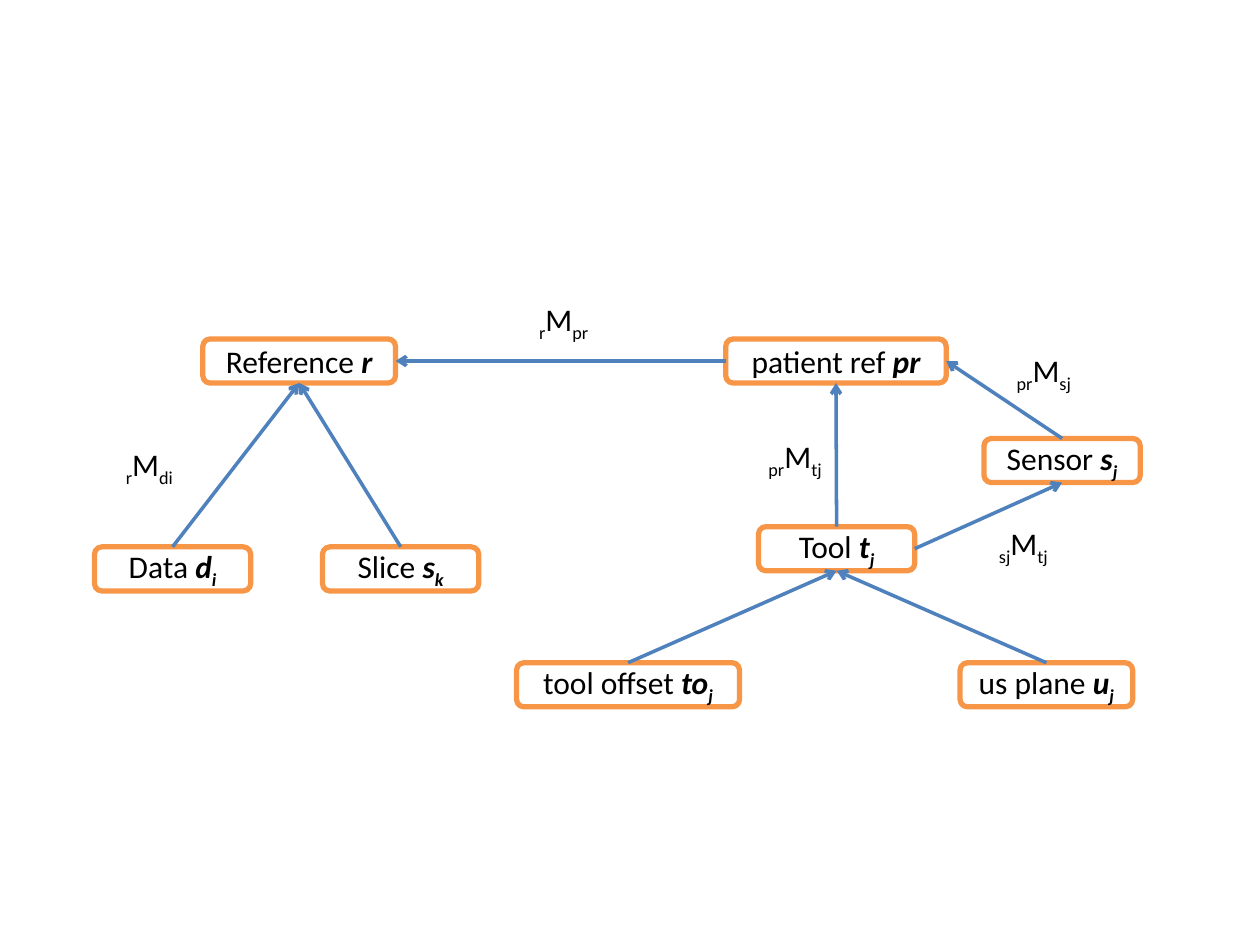
from lxml.etree import SubElement
from pptx import Presentation
from pptx.dml.color import RGBColor
from pptx.enum.shapes import MSO_CONNECTOR, MSO_SHAPE
from pptx.enum.text import MSO_ANCHOR, MSO_AUTO_SIZE, PP_ALIGN
from pptx.oxml.ns import qn
from pptx.util import Inches, Pt

BLACK = RGBColor(0x00, 0x00, 0x00)
WHITE = RGBColor(0xFF, 0xFF, 0xFF)
ORANGE = RGBColor(0xF7, 0x96, 0x46)
BLUE = RGBColor(0x4F, 0x81, 0xBD)
TOP, LEFT, BOTTOM, RIGHT = range(4)


def add_run(par, text, size=18, font="Calibri", color=BLACK, bold=False, sub=False):
    """Add a run; bold names are italic too, sub lowers the text."""
    run = par.add_run()
    run.text = text
    run.font.size = Pt(size)
    run.font.name = font
    run.font.color.rgb = color
    if bold:
        run.font.bold = run.font.italic = True
    if sub:
        run._r.get_or_add_rPr().set("baseline", "-25000")


class Graph:
    box_high = 0.35
    tag_high = 0.4

    def __init__(self, slide):
        self.shapes = slide.shapes

    def node(self, x, y, wide, text, name, index=""):
        box = self.shapes.add_shape(MSO_SHAPE.ROUNDED_RECTANGLE, Inches(x), Inches(y),
                                    Inches(wide), Inches(self.box_high))
        box.shadow.inherit = False
        box.fill.solid()
        box.fill.fore_color.rgb = WHITE
        box.line.color.rgb = ORANGE
        box.line.width = Pt(3)
        frame = box.text_frame
        frame.vertical_anchor = MSO_ANCHOR.MIDDLE
        par = frame.paragraphs[0]
        par.alignment = PP_ALIGN.CENTER
        add_run(par, text + " ")
        add_run(par, name, bold=True)
        if index:
            add_run(par, index, bold=True, sub=True)
        return box

    def arrow(self, start, side, end, goal):
        link = self.shapes.add_connector(MSO_CONNECTOR.STRAIGHT, 0, 0, 0, 0)
        link.begin_connect(start, side)
        link.end_connect(end, goal)
        link.line.color.rgb = BLUE
        link.line.width = Pt(2)
        SubElement(link.get_or_add_ln(), qn("a:tailEnd"), type="arrow")
        SubElement(link._element.spPr, qn("a:effectLst"))

    def tag(self, x, y, wide, before, after):
        box = self.shapes.add_textbox(Inches(x), Inches(y), Inches(wide), Inches(self.tag_high))
        frame = box.text_frame
        frame.word_wrap = False
        frame.auto_size = MSO_AUTO_SIZE.SHAPE_TO_FIT_TEXT
        par = frame.paragraphs[0]
        add_run(par, before, sub=True)
        add_run(par, "M")
        add_run(par, after, sub=True)


def main():
    deck = Presentation()
    deck.slide_width, deck.slide_height = Inches(10), Inches(7.5)
    graph = Graph(deck.slides.add_slide(deck.slide_layouts[6]))

    # Frames of reference
    patient = graph.node(5.76, 2.69, 1.75, "patient ref", "pr")
    ref = graph.node(1.61, 2.69, 1.53, "Reference", "r")
    data = graph.node(0.75, 4.34, 1.24, "Data", "d", "i")
    tool = graph.node(6.02, 4.18, 1.24, "Tool", "t", "j")
    offset = graph.node(4.1, 5.26, 1.77, "tool offset", "to", "j")
    sensor = graph.node(7.81, 3.48, 1.24, "Sensor", "s", "j")
    plane = graph.node(7.62, 5.26, 1.37, "us plane", "u", "j")
    slab = graph.node(2.56, 4.34, 1.24, "Slice", "s", "k")

    # Arrows from child to parent
    for link in [
        (patient, LEFT, ref, RIGHT),
        (plane, TOP, tool, BOTTOM),
        (tool, RIGHT, sensor, BOTTOM),
        (sensor, TOP, patient, RIGHT),
        (tool, TOP, patient, BOTTOM),
        (data, TOP, ref, BOTTOM),
        (offset, TOP, tool, BOTTOM),
        (slab, TOP, ref, BOTTOM),
    ]:
        graph.arrow(*link)

    # Matrix labels
    for tag in [
        (4.18, 2.33, 0.62, "r", "pr"),
        (0.9, 3.48, 0.6, "r", "di"),
        (6, 3.42, 0.66, "pr", "tj"),
        (7.97, 2.74, 0.67, "pr", "sj"),
        (7.83, 4.11, 0.62, "sj", "tj"),
    ]:
        graph.tag(*tag)

    deck.save("out.pptx")


if __name__ == "__main__":
    main()
